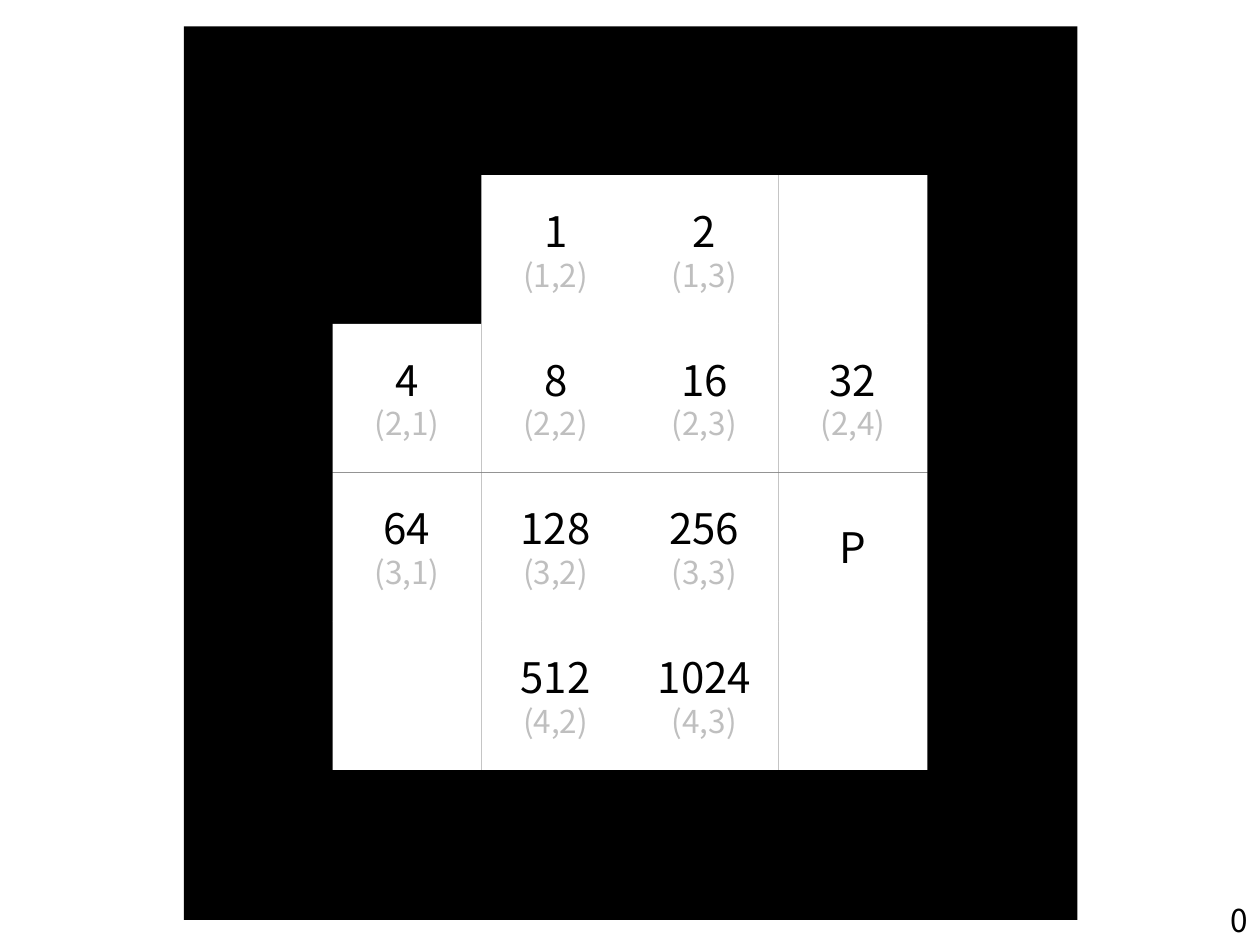
"""Build a slide with a four-by-four grid of numbered cells in a black frame."""
from pptx import Presentation
from pptx import util as u
from pptx.dml.color import RGBColor
from pptx.enum import shapes, text

BLACK = RGBColor(0x00, 0x00, 0x00)
WHITE = RGBColor(0xFF, 0xFF, 0xFF)
GREY = RGBColor(0xBF, 0xBF, 0xBF)
FONT = "Noto Sans CJK KR"
CELL = 1.18
GRID_LEFT, GRID_TOP = 2.64, 1.39
BLOCKED = "#"
GRID = [
    [BLOCKED, "1", "2", ""],
    ["4", "8", "16", "32"],
    ["64", "128", "256", "P"],
    ["", "512", "1024", ""],
]


def add_square(parent, left, top, size, color):
    """Add a plain filled square and return it."""
    square = parent.add_shape(
        shapes.MSO_SHAPE.RECTANGLE,
        u.Inches(left), u.Inches(top), u.Inches(size), u.Inches(size))
    square.shadow.inherit = False
    square.fill.solid()
    square.fill.fore_color.rgb = color
    square.line.fill.background()
    return square


def write_lines(frame, lines, align):
    """Write (wording, size, colour) lines as one paragraph each."""
    for index, (wording, size, color) in enumerate(lines):
        para = frame.add_paragraph() if index else frame.paragraphs[0]
        para.alignment = align
        span = para.add_run()
        span.text = wording
        span.font.name = FONT
        span.font.size = u.Pt(size)
        span.font.color.rgb = color


def add_cell(parent, row, column, label):
    """Add one grid cell, with its coordinates below a numeric label."""
    color = BLACK if label == BLOCKED else WHITE
    cell = add_square(parent, GRID_LEFT + column * CELL,
                      GRID_TOP + row * CELL, CELL, color)
    if label in ("", BLOCKED):
        return
    lines = [(label, 24, BLACK)]
    if label.isdigit():
        lines.append((f"({row + 1},{column + 1})", 18, GREY))
    cell.text_frame.vertical_anchor = text.MSO_ANCHOR.MIDDLE
    write_lines(cell.text_frame, lines, text.PP_ALIGN.CENTER)


def add_page_number(page, number):
    """Add the page number in the bottom right corner."""
    box = page.shapes.add_textbox(
        u.Inches(9.66), u.Inches(7.1), u.Inches(0.34), u.Inches(0.4))
    box.text_frame.word_wrap = False
    box.text_frame.auto_size = text.MSO_AUTO_SIZE.SHAPE_TO_FIT_TEXT
    write_lines(box.text_frame, [(number, 18, BLACK)], text.PP_ALIGN.RIGHT)


def main():
    """Build and save the deck."""
    deck = Presentation()
    deck.slide_width, deck.slide_height = u.Inches(10), u.Inches(7.5)
    page = deck.slides.add_slide(deck.slide_layouts[6])
    add_square(page.shapes, GRID_LEFT - CELL, GRID_TOP - CELL, 6 * CELL + 0.01, BLACK)
    board = page.shapes.add_group_shape()
    for row, labels in enumerate(GRID):
        for column, label in enumerate(labels):
            add_cell(board.shapes, row, column, label)
    add_page_number(page, "0")
    deck.save("out.pptx")


if __name__ == "__main__":
    main()
